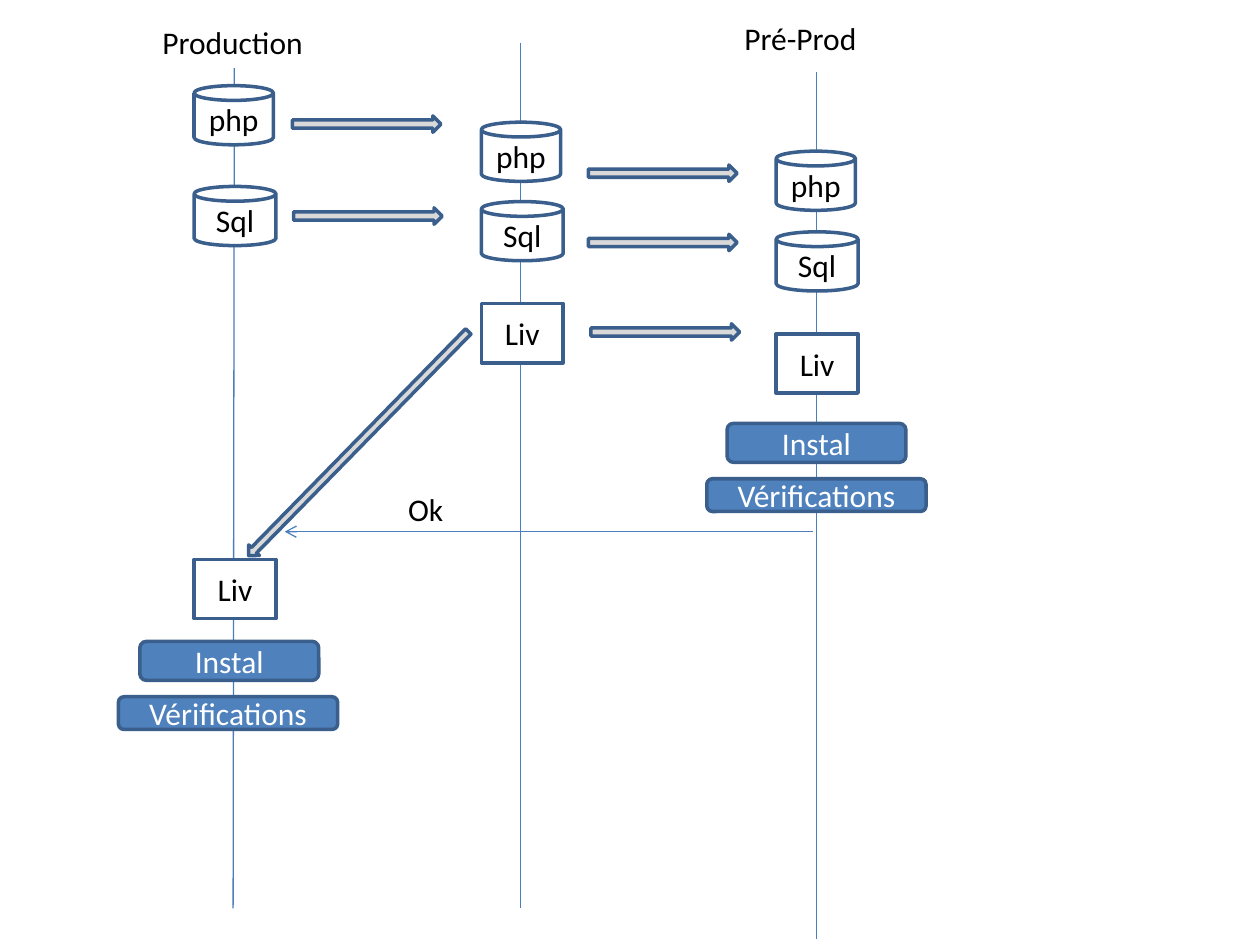
from dataclasses import dataclass

from lxml import etree
from pptx import Presentation
from pptx.dml.color import RGBColor as RGB
from pptx.enum.shapes import MSO_CONNECTOR as CONN, MSO_SHAPE as SHAPE
from pptx.enum.text import MSO_ANCHOR as ANCHOR, MSO_AUTO_SIZE as FIT, PP_ALIGN as ALIGN
from pptx.oxml.ns import qn
from pptx.util import Inches, Pt


@dataclass(frozen=True)
class Theme:
    font: str = "Calibri"
    size: float = 18
    outline: float = 2
    thin: float = 0.75
    black: str = "000000"
    white: str = "FFFFFF"
    blue: str = "4F81BD"
    edge: str = "3A5F8C"
    line: str = "4B7EBC"
    grey: str = "D9D9D9"


THEME = Theme()
BOX_FORMAT = {"word_wrap": True, "vertical_anchor": ANCHOR.MIDDLE}
LABEL_FORMAT = {"word_wrap": False, "auto_size": FIT.SHAPE_TO_FIT_TEXT}

# Kind of step: shape, width, height, fill, text colour
STEPS = {
    "php": (SHAPE.CAN, 0.63, 0.47, THEME.white, THEME.black),
    "Sql": (SHAPE.CAN, 0.65, 0.47, THEME.white, THEME.black),
    "Liv": (SHAPE.RECTANGLE, 0.65, 0.47, THEME.white, THEME.black),
    "Instal": (SHAPE.ROUNDED_RECTANGLE, 1.42, 0.31, THEME.blue, THEME.white),
    "Vérifications": (SHAPE.ROUNDED_RECTANGLE, 1.74, 0.26, THEME.blue, THEME.white),
}

# Lifeline ends, then (step, left, top) along it
LANES = [
    ((1.86, 0.54, 1.85, 7.21),
     [("php", 1.54, 0.68), ("Sql", 1.54, 1.48), ("Liv", 1.54, 4.44),
      ("Instal", 1.11, 5.09), ("Vérifications", 0.94, 5.53)]),
    ((4.13, 0.34, 4.13, 7.21),
     [("php", 3.82, 0.97), ("Sql", 3.82, 1.6), ("Liv", 3.82, 2.41)]),
    ((6.48, 0.57, 6.48, 7.45),
     [("php", 6.16, 1.2), ("Sql", 6.16, 1.84), ("Liv", 6.16, 2.65),
      ("Instal", 5.77, 3.36), ("Vérifications", 5.61, 3.8)]),
]
TRANSFERS = [(2.32, 0.92), (2.33, 1.65), (4.67, 1.31), (4.67, 1.86), (4.69, 2.57)]
LABELS = [
    ("Production", 1.19, 0.13, 1.33),
    ("Pré-Prod", 5.81, 0.1, 1.1),
    ("Ok", 3.14, 3.84, 0.48),
]


def apply(obj, values):
    for name, value in values.items():
        setattr(obj, name, value)


def write(tf, text, color, align, values):
    apply(tf, values)
    p = tf.paragraphs[0]
    p.alignment = align
    r = p.add_run()
    r.text = text
    apply(r.font, {"name": THEME.font, "size": Pt(THEME.size)})
    r.font.color.rgb = RGB.from_string(color)


def add_box(slide, kind, left, top, width, height, fill):
    sp = slide.shapes.add_shape(kind, *map(Inches, (left, top, width, height)))
    sp.shadow.inherit = False
    sp.fill.solid()
    sp.fill.fore_color.rgb = RGB.from_string(fill)
    sp.line.color.rgb = RGB.from_string(THEME.edge)
    sp.line.width = Pt(THEME.outline)
    return sp


def add_step(slide, name, left, top):
    kind, width, height, fill, color = STEPS[name]
    sp = add_box(slide, kind, left, top, width, height, fill)
    write(sp.text_frame, name, color, ALIGN.CENTER, BOX_FORMAT)


def add_block_arrow(slide, left, top, width=1.18, height=0.13, rotation=0):
    sp = add_box(slide, SHAPE.RIGHT_ARROW, left, top, width, height, THEME.grey)
    sp.rotation = rotation


def add_line(slide, ends, arrow=False):
    cx = slide.shapes.add_connector(CONN.STRAIGHT, *map(Inches, ends))
    cx.line.color.rgb = RGB.from_string(THEME.line)
    cx.line.width = Pt(THEME.thin)
    if arrow:
        etree.SubElement(cx.line._get_or_add_ln(), qn("a:tailEnd"), type="arrow")
    etree.SubElement(cx._element.spPr, qn("a:effectLst"))


def add_label(slide, text, left, top, width):
    tb = slide.shapes.add_textbox(*map(Inches, (left, top, width, 0.4)))
    write(tb.text_frame, text, THEME.black, ALIGN.LEFT, LABEL_FORMAT)


def main():
    prs = Presentation()
    apply(prs, {"slide_width": Inches(10), "slide_height": Inches(7.5)})
    slide = prs.slides.add_slide(prs.slide_layouts[6])

    # Lifelines with their steps
    for ends, steps in LANES:
        add_line(slide, ends)
        for step in steps:
            add_step(slide, *step)

    # Transfers between environments
    for left, top in TRANSFERS:
        add_block_arrow(slide, left, top)

    # Approval, then delivery back to production
    add_line(slide, (6.45, 4.22, 2.26, 4.22), arrow=True)
    add_block_arrow(slide, 1.6, 3.46, 2.49, 0.12, rotation=134.4)

    # Headings and message label
    for label in LABELS:
        add_label(slide, *label)

    prs.save("out.pptx")


main()
